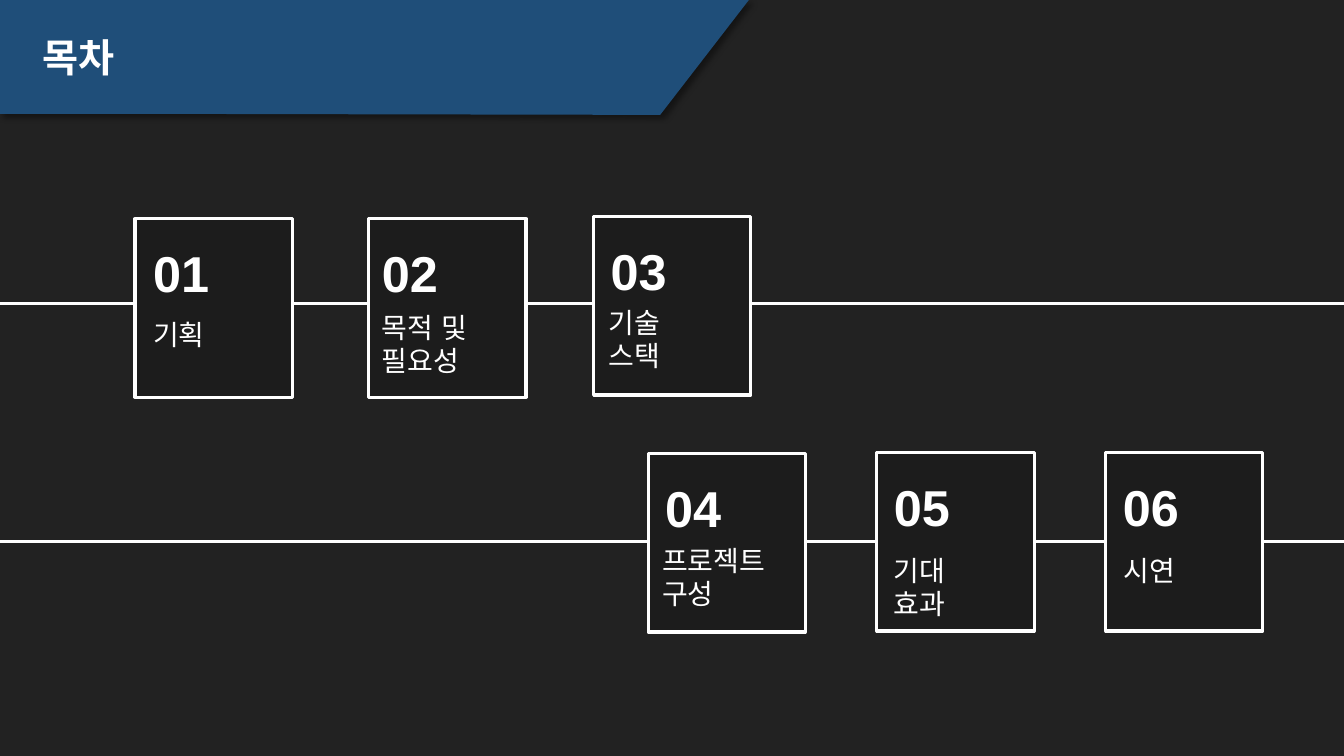
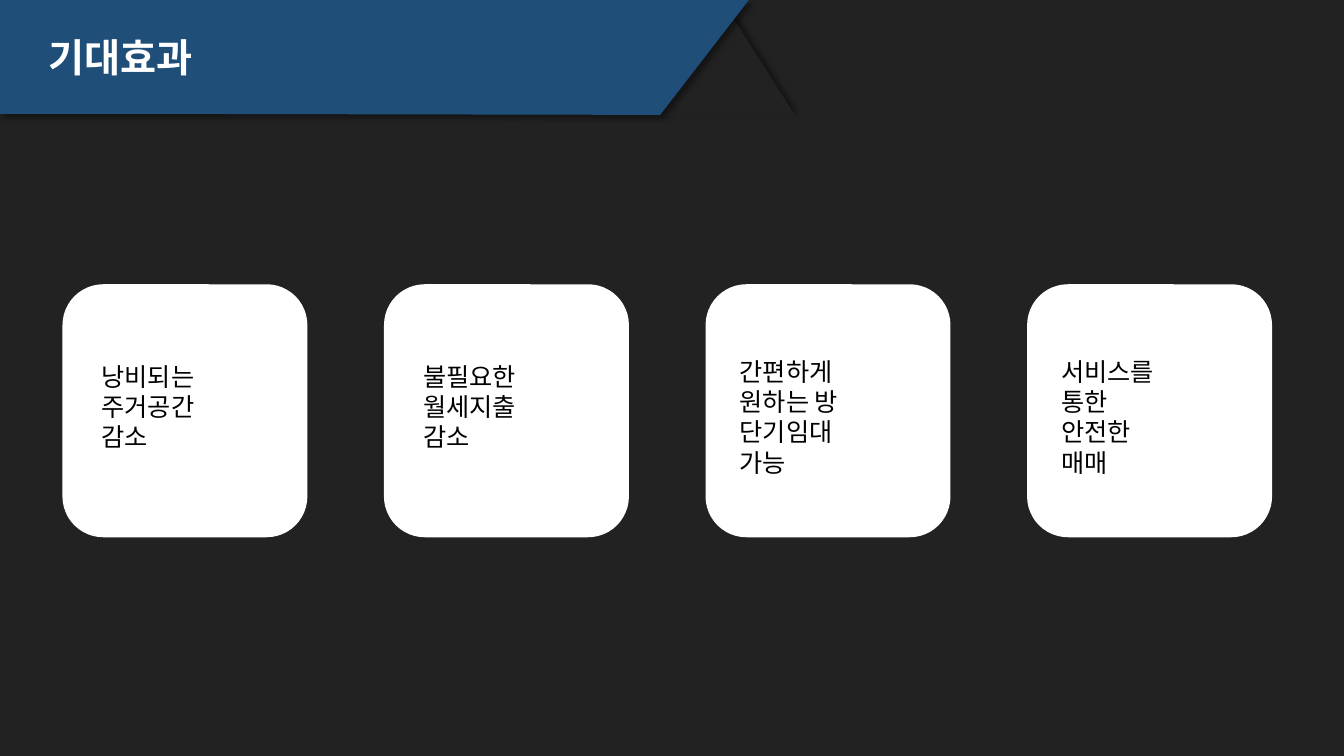
from dataclasses import dataclass

from lxml.etree import SubElement
from pptx import Presentation
from pptx.dml.color import RGBColor
from pptx.enum.shapes import MSO_CONNECTOR, MSO_SHAPE
from pptx.enum.text import MSO_ANCHOR, PP_ALIGN
from pptx.oxml.ns import qn
from pptx.util import Emu, Pt

PX = 9144


@dataclass(frozen=True)
class Theme:
    back: RGBColor = RGBColor(0x22, 0x22, 0x22)
    band: RGBColor = RGBColor(0x1F, 0x4E, 0x79)
    tile: RGBColor = RGBColor(0x1C, 0x1C, 0x1C)
    white: RGBColor = RGBColor(0xFF, 0xFF, 0xFF)
    black: RGBColor = RGBColor(0, 0, 0)
    latin: str = "Arial"
    hangul: str = "Noto Sans CJK KR"
    title: int = 28
    number: int = 36
    label: int = 20
    card: int = 18
    rule: float = 2.25


theme = Theme()


def write(shape, text, size, color=theme.white, font=theme.latin, bold=False, wrap=True, pitch=None):
    frame = shape.text_frame
    frame.word_wrap = wrap
    frame.vertical_anchor = MSO_ANCHOR.TOP
    frame.text = text
    for para in frame.paragraphs:
        para.alignment = PP_ALIGN.LEFT
        if pitch:
            para.line_spacing = Pt(pitch)
        for run in para.runs:
            run.font.name = font
            run.font.size = Pt(size)
            run.font.bold = bold
            run.font.color.rgb = color
            props = run.font._element
            SubElement(props, qn("a:ea")).set("typeface", font)


def paint(shape, fill, line=None, angle=None):
    shape.fill.solid()
    shape.fill.fore_color.rgb = fill
    if line is None:
        shape.line.fill.background()
    else:
        shape.line.color.rgb = line
        shape.line.width = Pt(theme.rule)
    shape.shadow.inherit = False
    if angle is not None:
        effects = shape.element.spPr.find(qn("a:effectLst"))
        shade = SubElement(effects, qn("a:outerShdw"), blurRad=str(Pt(4)), dist=str(Pt(3)),
                           dir=str(angle * 60000), algn="ctr", rotWithShape="0")
        black = SubElement(shade, qn("a:srgbClr"), val=str(theme.black))
        SubElement(black, qn("a:alpha"), val="40000")


deck = Presentation()
deck.slide_width = Emu(12192000)
deck.slide_height = 750 * PX
ground = deck.slide_master.background.fill
ground.solid()
ground.fore_color.rgb = theme.back

slides = []
for text, left, width in [("목차", 32, 99), ("기대효과", 38, 163)]:
    slide = deck.slides.add_slide(deck.slide_layouts[5])
    shapes = slide.shapes
    title = shapes.title
    if slides:
        peak = shapes.add_shape(MSO_SHAPE.ISOSCELES_TRIANGLE, 657 * PX, 11 * PX, 132 * PX, 104 * PX)
        paint(peak, theme.back, angle=315)
    path = shapes.build_freeform(0, 0, scale=PX)
    path.add_line_segments([(743, 0), (655, 114), (155, 113), (0, 113)])
    paint(path.convert_to_shape(), theme.band, angle=45)
    title.left, title.top, title.width, title.height = left * PX, 28 * PX, width * PX, 57 * PX
    write(title, text, theme.title, font=theme.hangul, bold=True, wrap=False, pitch=34)
    shapes.element.append(title.element)
    slides.append(slide)

agenda, effects = (slide.shapes for slide in slides)

rows = [
    (301, [
        ("01", "기획", 134, 217, 142, 310),
        ("02", "목적 및\n필요성", 366, 217, 369, 303),
        ("03", "기술\n스택", 589, 215, 594, 298),
    ]),
    (537, [
        ("04", "프로젝트\n구성", 643, 450, 647, 534),
        ("05", "기대\n효과", 870, 449, 877, 544),
        ("06", "시연", 1097, 449, 1105, 544),
    ]),
]
start = 142
step = 227
for level, tiles in rows:
    rail = agenda.add_connector(MSO_CONNECTOR.STRAIGHT, 0, level * PX, deck.slide_width, level * PX)
    rail.line.color.rgb = theme.white
    rail.line.width = Pt(theme.rule)
    SubElement(rail.element.spPr, qn("a:effectLst"))
    for number, label, left, top, inset, drop in tiles:
        tile = agenda.add_shape(MSO_SHAPE.RECTANGLE, left * PX, top * PX, 156 * PX, 177 * PX)
        paint(tile, theme.tile, line=theme.white)
        box = agenda.add_textbox(start * PX, (top + 18) * PX, 78 * PX, 71 * PX)
        write(box, number, theme.number, bold=True)
        box = agenda.add_textbox(inset * PX, drop * PX, 140 * PX, 77 * PX)
        write(box, label, theme.label)
        start += step
    start = 650

cards = [
    ("낭비되는\n주거공간\n감소", 29, 353),
    ("불필요한\n월세지출\n감소", 29, 353),
    ("간편하게\n원하는 방\n단기임대\n가능", 24, 348),
    ("서비스를\n통한\n안전한\n매매", 24, 348),
]
for index, (text, inset, top) in enumerate(cards):
    left = 62 + index * 319
    card = effects.add_shape(MSO_SHAPE.ROUNDED_RECTANGLE, left * PX, 282 * PX, 243 * PX, 251 * PX)
    paint(card, theme.white)
    box = effects.add_textbox((left + inset) * PX, top * PX, 187 * PX, 131 * PX)
    write(box, text, theme.card, color=theme.black, font=theme.hangul, pitch=21.7)

deck.save("out.pptx")
